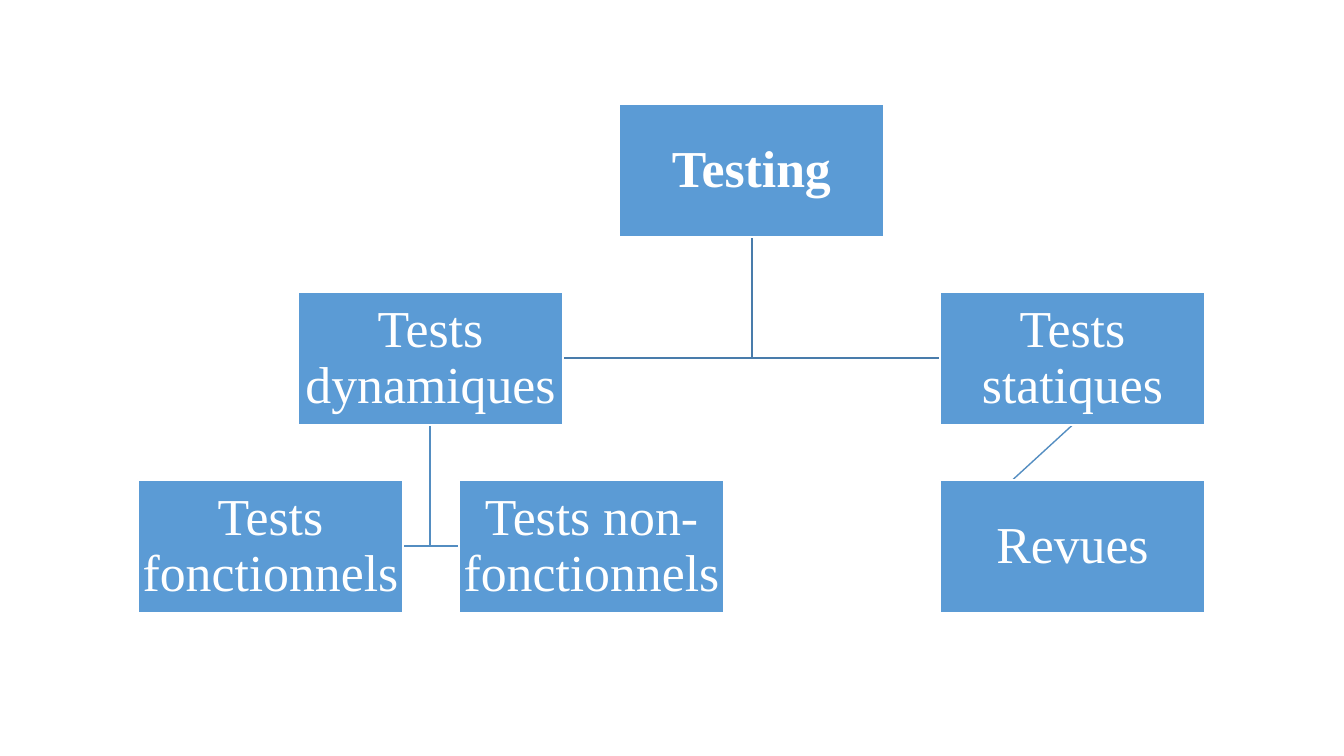
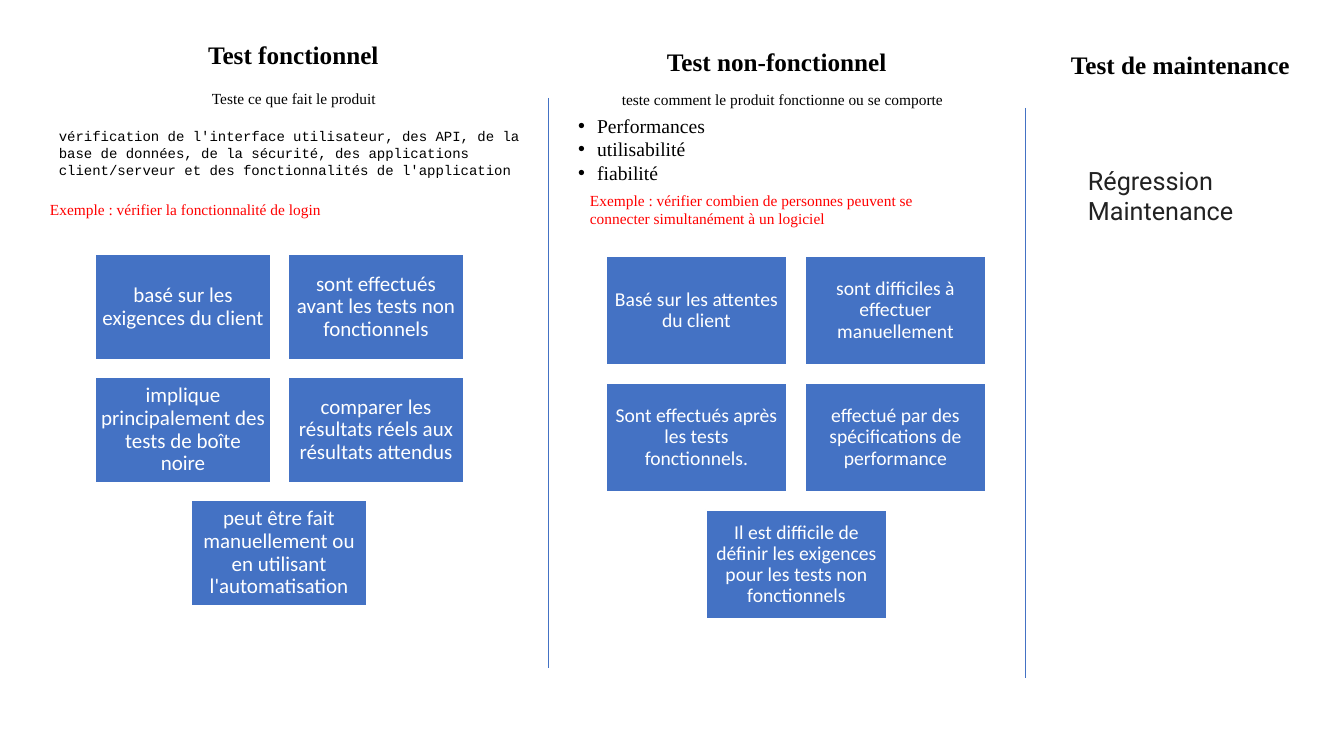
import pptx
import pptx.util
import pptx.dml.color
import pptx.enum.shapes
import pptx.enum.text
import pptx.oxml
import pptx.oxml.ns
from collections import namedtuple

ALIGN = pptx.enum.text.PP_ALIGN
ANCHOR = pptx.enum.text.MSO_ANCHOR
Box = namedtuple("Box", "x y w h")
SCALE = 914400 / 100.8  # EMU per pixel


class Theme:
    blue, deep_blue = "5B9BD5", "4472C4"
    trunk, branch = "497CAB", "538DC1"
    white = "FFFFFF"
    serif = "Times New Roman"
    # Text styles: font attributes plus colour
    root = dict(size=37, name=serif, bold=True, color=white)
    node = dict(size=37, name=serif, bold=False, color=white)
    heading = dict(size=18, name=serif, bold=True, color="000000")
    intro = dict(size=11, name=serif, color="000000")
    bullets = dict(size=14, name=serif, color="000000")
    example = dict(size=11, name=serif, color="FF0000")
    code = dict(size=10, name="Courier New", color="000000")
    topic = dict(size=18, name="Roboto", color="222222")
    card = dict(size=15, name="Calibri", color=white)
    small_card = dict(card, size=14)


def px(n):
    return pptx.util.Emu(round(n * SCALE))


def rgb(value):
    return pptx.dml.color.RGBColor.from_string(value)


def place(s, box):
    for side, value in zip(("left", "top", "width", "height"), box):
        setattr(s, side, px(value))


# Text
def write(tf, lines, style, align=ALIGN.LEFT, anchor=ANCHOR.TOP, inset=None, spacing=1.0):
    frame = dict(word_wrap=True, auto_size=pptx.enum.text.MSO_AUTO_SIZE.NONE,
                 vertical_anchor=anchor)
    if inset is not None:
        frame.update({"margin_" + side: px(inset)
                      for side in ("left", "top", "right", "bottom")})
    for key, value in frame.items():
        setattr(tf, key, value)
    for i, line in enumerate(lines):
        p = tf.add_paragraph() if i else tf.paragraphs[0]
        for key, value in dict(alignment=align, line_spacing=spacing,
                               space_before=pptx.util.Pt(0)).items():
            setattr(p, key, value)
        r = p.add_run()
        r.text = line
        for key, value in style.items():
            if key == "color":
                r.font.color.rgb = rgb(value)
            else:
                setattr(r.font, key, pptx.util.Pt(value) if key == "size" else value)


def add_text(slide, box, lines, style, anchor=ANCHOR.MIDDLE):
    s = slide.shapes.add_textbox(*map(px, box))
    write(s.text_frame, lines, style, anchor=anchor)


def fill_title(slide, box, text):
    s = slide.shapes.title
    place(s, box)
    write(s.text_frame, [text], Theme.heading)


def fill_list(slide, box, items):
    s = slide.placeholders[1]
    place(s, box)
    write(s.text_frame, items, Theme.bullets, anchor=ANCHOR.MIDDLE)
    for p in s.text_frame.paragraphs:
        pPr = p._p.get_or_add_pPr()
        pPr.set("marL", str(px(19)))
        pPr.set("indent", str(px(-19)))
        bullet = pptx.oxml.parse_xml(
            "<a:buChar %s char='\u2022'/>" % pptx.oxml.ns.nsdecls("a"))
        pPr.append(bullet)


# Shapes and lines
def set_line(s, color, width):
    s.line.color.rgb = rgb(color)
    s.line.width = pptx.util.Pt(width)


def add_card(slide, box, text, fill, style, inset):
    s = slide.shapes.add_shape(pptx.enum.shapes.MSO_SHAPE.RECTANGLE, *map(px, box))
    s.shadow.inherit = False
    s.fill.solid()
    s.fill.fore_color.rgb = rgb(fill)
    set_line(s, Theme.white, 1)
    write(s.text_frame, [text], style, ALIGN.CENTER, ANCHOR.MIDDLE, inset, 0.9)


def add_line(slide, start, end, color, width):
    s = slide.shapes.add_connector(pptx.enum.shapes.MSO_CONNECTOR.STRAIGHT,
                                   *map(px, start + end))
    set_line(s, color, width)
    s._element.spPr.append(pptx.oxml.parse_xml(
        "<a:effectLst %s/>" % pptx.oxml.ns.nsdecls("a")))


def add_branch(slide, parent, child, color):
    """Joins the parent's bottom centre to the nearest side of the child."""
    start = (parent.x + parent.w / 2, parent.y + parent.h)
    side = child.x + child.w if child.x < parent.x else child.x
    end = (side, child.y + child.h / 2)
    if parent.x == child.x:
        add_line(slide, start, end, color, 1)
        return
    path = slide.shapes.build_freeform(*start, scale=SCALE)
    path.add_line_segments([(start[0], end[1]), end], close=False)
    s = path.convert_to_shape()
    s.shadow.inherit = False
    s.fill.background()
    set_line(s, color, 1)


def add_card_grid(slide, first, gap, texts, style):
    """Two cards a row; a last odd card is centred."""
    step_x, step_y = first.w + gap, first.h + gap
    for i, text in enumerate(texts):
        row, col = divmod(i, 2)
        if col == 0 and i == len(texts) - 1:
            col = 0.5
        box = first._replace(x=first.x + round(col * step_x), y=first.y + row * step_y)
        add_card(slide, box, text, Theme.deep_blue, style, 6)


# Slides
def build_tree(prs):
    slide = prs.slides.add_slide(prs.slide_layouts[6])
    # name: (half column, level, parent)
    nodes = {
        "Testing": (3, 0, None),
        "Tests dynamiques": (1, 1, "Testing"),
        "Tests fonctionnels": (0, 2, "Tests dynamiques"),
        "Tests non-fonctionnels": (2, 2, "Tests dynamiques"),
        "Tests statiques": (5, 1, "Testing"),
        "Revues": (5, 2, "Tests statiques"),
    }
    boxes = {name: Box(138 + 321 * col // 2, 104 + 188 * level, 265, 133)
             for name, (col, level, _) in nodes.items()}
    for name, (_, level, parent) in nodes.items():
        if parent:
            add_branch(slide, boxes[parent], boxes[name],
                       Theme.trunk if level == 1 else Theme.branch)
    for name, (_, level, _) in nodes.items():
        add_card(slide, boxes[name], name, Theme.blue,
                 Theme.node if level else Theme.root, 3)


def build_comparison(prs):
    slide = prs.slides.add_slide(prs.slide_layouts[1])
    # Column dividers
    for x, y in ((548, 98), (1025, 108)):
        add_line(slide, (x, y), (x, y + 570), Theme.deep_blue, 0.5)

    # Functional tests
    fill_title(slide, Box(198, 34, 203, 40), "Test fonctionnel")
    add_text(slide, Box(202, 84, 214, 29), ["Teste ce que fait le produit"], Theme.intro)
    add_text(slide, Box(49, 131, 519, 44),
             ["vérification de l'interface utilisateur, des API, de la base de données, "
              "de la sécurité, des applications client/serveur et des fonctionnalités "
              "de l'application"], Theme.code)
    add_text(slide, Box(40, 195, 599, 29),
             ["Exemple : vérifier la fonctionnalité de login"], Theme.example)
    add_card_grid(slide, Box(95, 254, 176, 106), 17, [
        "basé sur les exigences du client",
        "sont effectués avant les tests non fonctionnels",
        "implique principalement des tests de boîte noire",
        "comparer les résultats réels aux résultats attendus",
        "peut être fait manuellement ou en utilisant l'automatisation",
    ], Theme.card)

    # Non-functional tests
    add_text(slide, Box(657, 41, 266, 40), ["Test non-fonctionnel"],
             Theme.heading, ANCHOR.TOP)
    add_text(slide, Box(612, 85, 359, 29),
             ["teste comment le produit fonctionne ou se comporte"], Theme.intro)
    fill_list(slide, Box(568, 108, 284, 82), ["Performances", "utilisabilité", "fiabilité"])
    add_text(slide, Box(580, 186, 390, 47),
             ["Exemple : vérifier combien de personnes peuvent se connecter "
              "simultanément à un logiciel"], Theme.example)
    add_card_grid(slide, Box(606, 256, 181, 109), 18, [
        "Basé sur les attentes du client",
        "sont difficiles à effectuer manuellement",
        "Sont effectués après les tests fonctionnels.",
        "effectué par des spécifications de performance",
        "Il est difficile de définir les exigences pour les tests non fonctionnels",
    ], Theme.small_card)

    # Maintenance tests
    add_text(slide, Box(1061, 44, 253, 40), ["Test de maintenance"],
             Theme.heading, ANCHOR.TOP)
    add_text(slide, Box(1078, 160, 218, 72), ["Régression", "Maintenance"],
             Theme.topic, ANCHOR.TOP)


def main():
    prs = pptx.Presentation()
    prs.slide_width, prs.slide_height = px(1344), px(756)
    build_tree(prs)
    build_comparison(prs)
    prs.save("out.pptx")


main()
